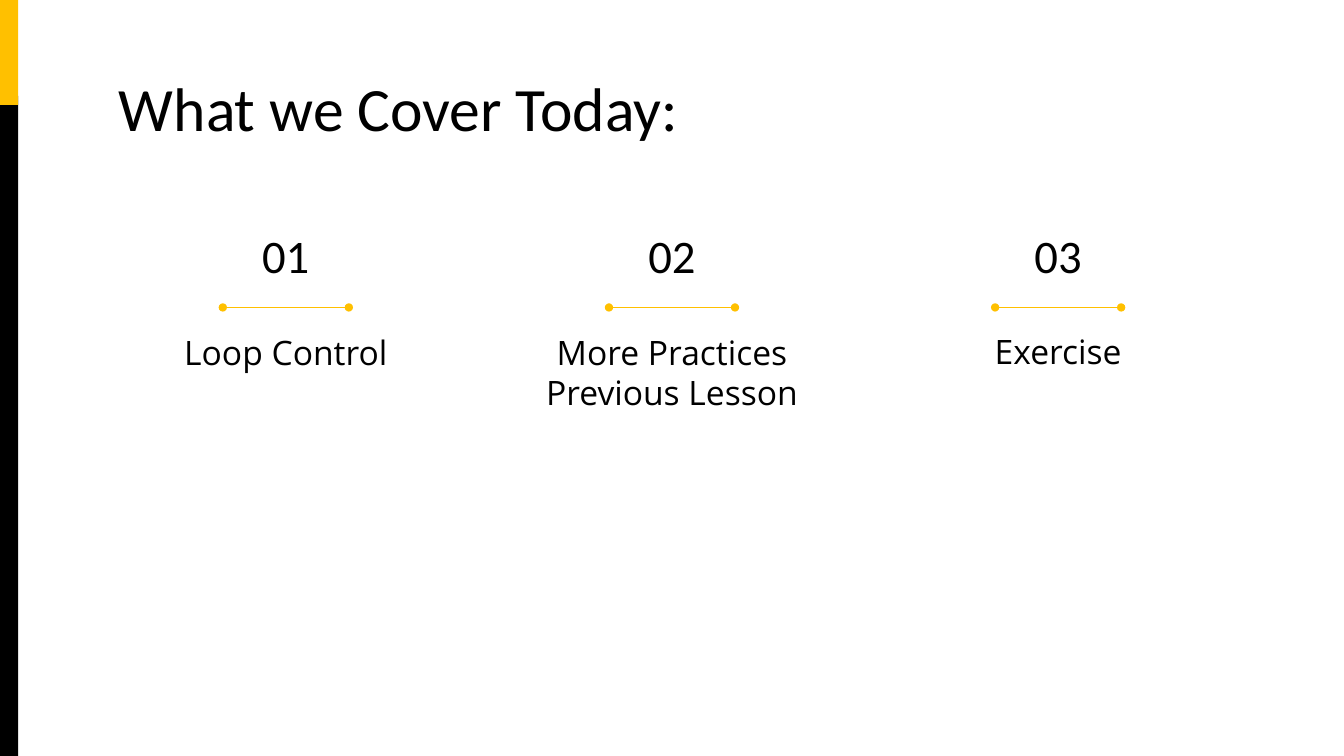
import pptx
import pptx.util
import pptx.dml.color
import pptx.enum.shapes
import pptx.enum.text
import pptx.oxml.ns
import lxml.etree

Inches = pptx.util.Inches
RGBColor = pptx.dml.color.RGBColor
ALIGN = pptx.enum.text.PP_ALIGN
ANCHOR = pptx.enum.text.MSO_ANCHOR

BLACK = RGBColor(0x00, 0x00, 0x00)
GOLD = RGBColor(0xFF, 0xC0, 0x00)

TITLE = {"name": "Calibri", "size": pptx.util.Pt(44)}
NUMBER = {"name": "Calibri", "size": pptx.util.Pt(33.3)}
TOPIC = {"name": "Open Sans", "size": pptx.util.Pt(24)}

# Topic text and top of its box
TOPICS = [
    ("Loop Control", 3.16),
    ("More Practices Previous Lesson", 3.16),
    ("Exercise", 3.15),
]
FIRST_CENTER = 2.835
COLUMN_STEP = 3.83


def add_bar(slide, top, height, color):
    """Solid bar on the left edge."""
    bar = slide.shapes.add_shape(
        pptx.enum.shapes.MSO_SHAPE.RECTANGLE,
        Inches(0), Inches(top), Inches(0.18), Inches(height))
    bar.shadow.inherit = False
    bar.fill.solid()
    bar.fill.fore_color.rgb = color
    bar.line.fill.background()


def add_text(slide, text, box, font, alignment=ALIGN.CENTER,
             anchor=ANCHOR.TOP, line_spacing=1.0):
    shape = slide.shapes.add_textbox(*(Inches(length) for length in box))
    frame = shape.text_frame
    margin = Inches(0.13)
    frame_format = {
        "word_wrap": True, "vertical_anchor": anchor,
        "margin_left": margin, "margin_top": margin,
        "margin_right": margin, "margin_bottom": margin,
    }
    for name, value in frame_format.items():
        setattr(frame, name, value)
    paragraph = frame.paragraphs[0]
    paragraph.alignment = alignment
    paragraph.line_spacing = line_spacing
    run = paragraph.add_run()
    run.text = text
    for name, value in font.items():
        setattr(run.font, name, value)
    run.font.color.rgb = BLACK


def add_divider(slide, center, y):
    """Thin line with a dot at each end."""
    divider = slide.shapes.add_connector(
        pptx.enum.shapes.MSO_CONNECTOR.STRAIGHT,
        Inches(center - 0.625), Inches(y), Inches(center + 0.625), Inches(y))
    divider.line.color.rgb = GOLD
    divider.line.width = pptx.util.Pt(0.75)
    line = divider.line._get_or_add_ln()
    for end in ("a:headEnd", "a:tailEnd"):
        lxml.etree.SubElement(line, pptx.oxml.ns.qn(end), type="oval")
    lxml.etree.SubElement(divider._element.spPr, pptx.oxml.ns.qn("a:effectLst"))


def add_topic(slide, index, text, top):
    """Number, divider and topic of one column."""
    center = FIRST_CENTER + index * COLUMN_STEP
    add_text(slide, f"{index + 1:02d}", (center - 0.57, 2.03, 1.14, 0.91),
             NUMBER, anchor=ANCHOR.BOTTOM, line_spacing=0.9)
    add_divider(slide, center, 3.05)
    add_text(slide, text, (center - 1.785, top, 3.57, 0.65), TOPIC)


def main():
    presentation = pptx.Presentation()
    presentation.slide_width = Inches(13.33)
    presentation.slide_height = Inches(7.5)
    slide = presentation.slides.add_slide(presentation.slide_layouts[6])

    # Side bars
    add_bar(slide, 0.95, 6.55, BLACK)
    add_bar(slide, 0, 1.04, GOLD)

    # Heading
    add_text(slide, "What we Cover Today:", (1.05, 0.65, 11.23, 0.84),
             TITLE, alignment=ALIGN.LEFT, line_spacing=0.9)

    # Topic columns
    for index, (text, top) in enumerate(TOPICS):
        add_topic(slide, index, text, top)

    presentation.save("out.pptx")


if __name__ == "__main__":
    main()
